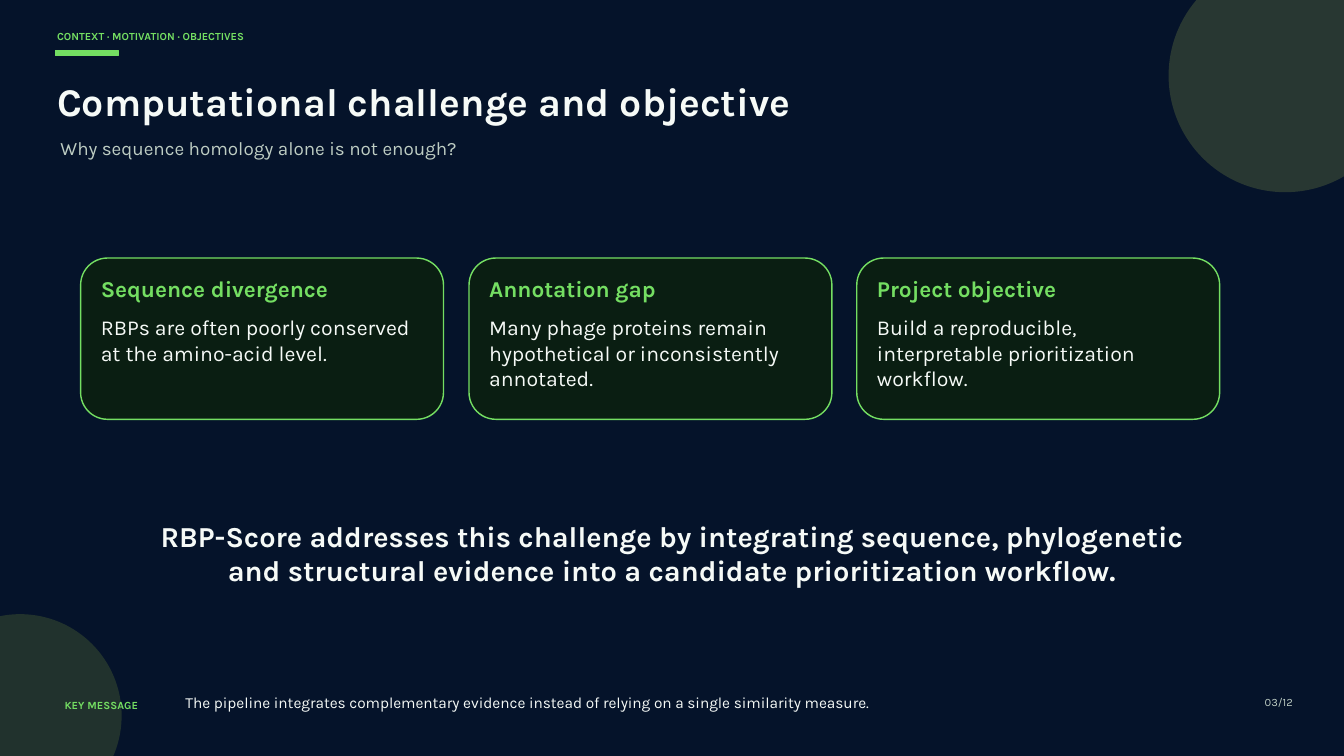
from dataclasses import dataclass

import pptx
import pptx.dml.color
import pptx.enum.shapes
import pptx.enum.text
import pptx.util

SCALE = 9144  # EMU per px, 100 px to the inch
FONT = "Karla"
NAVY, GREEN, WHITE, GREY = "05132A", "74DE62", "F6FAF7", "BECDC3"
CARD_FILL = "0A1E12"
SHAPE = pptx.enum.shapes.MSO_SHAPE
ALIGN = pptx.enum.text.PP_ALIGN


@dataclass
class Box:
    x: int
    y: int
    w: int
    h: int

    def emu(self) -> list[int]:
        return [pptx.util.Emu(v * SCALE) for v in (self.x, self.y, self.w, self.h)]


@dataclass
class Card:
    heading: str
    body: str


@dataclass
class Circle:
    box: Box
    color: str


def rgb(color: str) -> pptx.dml.color.RGBColor:
    return pptx.dml.color.RGBColor.from_string(color)


def add_shape(s, kind, box: Box, fill: str, line: str, width: float = 1.5):
    sp = s.shapes.add_shape(kind, *box.emu())
    sp.shadow.inherit = False
    sp.fill.solid()
    sp.fill.fore_color.rgb = rgb(fill)
    sp.line.color.rgb = rgb(line)
    sp.line.width = pptx.util.Pt(width)
    return sp


def write(s, text: str, box: Box, *, size: float, leading: float, color: str = WHITE,
          bold: bool = False, align=ALIGN.LEFT, sp=None) -> None:
    """Put text in a new text box, or in the given placeholder."""
    if sp is None:
        sp = s.shapes.add_textbox(*box.emu())
    sp.left, sp.top, sp.width, sp.height = box.emu()
    tf = sp.text_frame
    tf.word_wrap = True
    tf.auto_size = pptx.enum.text.MSO_AUTO_SIZE.SHAPE_TO_FIT_TEXT
    tf.vertical_anchor = pptx.enum.text.MSO_ANCHOR.TOP
    tf.margin_left = tf.margin_top = tf.margin_right = tf.margin_bottom = 0
    p = tf.paragraphs[0]
    p.alignment = align
    p.line_spacing = pptx.util.Pt(leading)
    p.space_before = pptx.util.Pt(0)
    r = p.add_run()
    r.text = text
    r.font.name = FONT
    r.font.size = pptx.util.Pt(size)
    r.font.bold = bold
    r.font.color.rgb = rgb(color)


def add_card(s, card: Card, box: Box) -> None:
    sp = add_shape(s, SHAPE.ROUNDED_RECTANGLE, box, CARD_FILL, GREEN)
    sp.adjustments[0] = 40 / box.h
    x, w = box.x + 30, box.w - 60
    write(s, card.heading, Box(x, box.y + 25, w, 41),
          size=24.3, leading=29.1, color=GREEN, bold=True)
    write(s, card.body, Box(x, box.y + 84, w, 112), size=22.8, leading=27.4)


CIRCLES = [
    Circle(Box(1740, -60, 345, 345), "283732"),
    Circle(Box(-120, 915, 300, 300), "21322D"),
]
CARDS = [
    Card("Sequence divergence",
         "RBPs are often poorly conserved at the amino-acid level."),
    Card("Annotation gap",
         "Many phage proteins remain hypothetical or inconsistently annotated."),
    Card("Project objective",
         "Build a reproducible, interpretable prioritization workflow."),
]
CARD_ROW = Box(120, 384, 1695, 240)
CARD_WIDTH = 540


def main() -> None:
    prs = pptx.Presentation()
    prs.slide_width, prs.slide_height = Box(0, 0, 2000, 1125).emu()[2:]
    s = prs.slides.add_slide(prs.slide_layouts[5])
    s.background.fill.solid()
    s.background.fill.fore_color.rgb = rgb(NAVY)

    # Corner circles and accent bar
    for circle in CIRCLES:
        add_shape(s, SHAPE.OVAL, circle.box, circle.color, circle.color)
    add_shape(s, SHAPE.RECTANGLE, Box(82, 75, 94, 8), GREEN, GREEN, 0.75)

    # Header
    write(s, "CONTEXT · MOTIVATION · OBJECTIVES", Box(85, 44, 669, 26),
          size=11.6, leading=13.9, color=GREEN, bold=True)
    write(s, "Computational challenge and objective", Box(85, 115, 1614, 83),
          size=42, leading=50.4, bold=True, sp=s.shapes.title)
    write(s, "Why sequence homology alone is not enough?", Box(90, 203, 1674, 33),
          size=20.2, leading=24.3, color=GREY)

    # Cards, spread evenly over the row
    step = (CARD_ROW.w - CARD_WIDTH) / (len(CARDS) - 1)
    for i, card in enumerate(CARDS):
        x = round(CARD_ROW.x + i * step)
        add_card(s, card, Box(x, CARD_ROW.y, CARD_WIDTH, CARD_ROW.h))

    # Statement
    write(s, "RBP-Score addresses this challenge by integrating sequence, phylogenetic "
          "and structural evidence into a candidate prioritization workflow.",
          Box(238, 771, 1523, 102), size=31, leading=37.2, bold=True, align=ALIGN.CENTER)

    # Footer
    write(s, "KEY MESSAGE", Box(96, 1039, 212, 24),
          size=11.7, leading=14, color=GREEN, bold=True)
    write(s, "The pipeline integrates complementary evidence instead of relying on "
          "a single similarity measure.", Box(276, 1031, 1599, 41), size=16.5, leading=19.8)
    write(s, "03/12", Box(1825, 1034, 99, 23),
          size=12, leading=14.4, color=GREY, align=ALIGN.RIGHT)

    prs.save("out.pptx")


if __name__ == "__main__":
    main()
